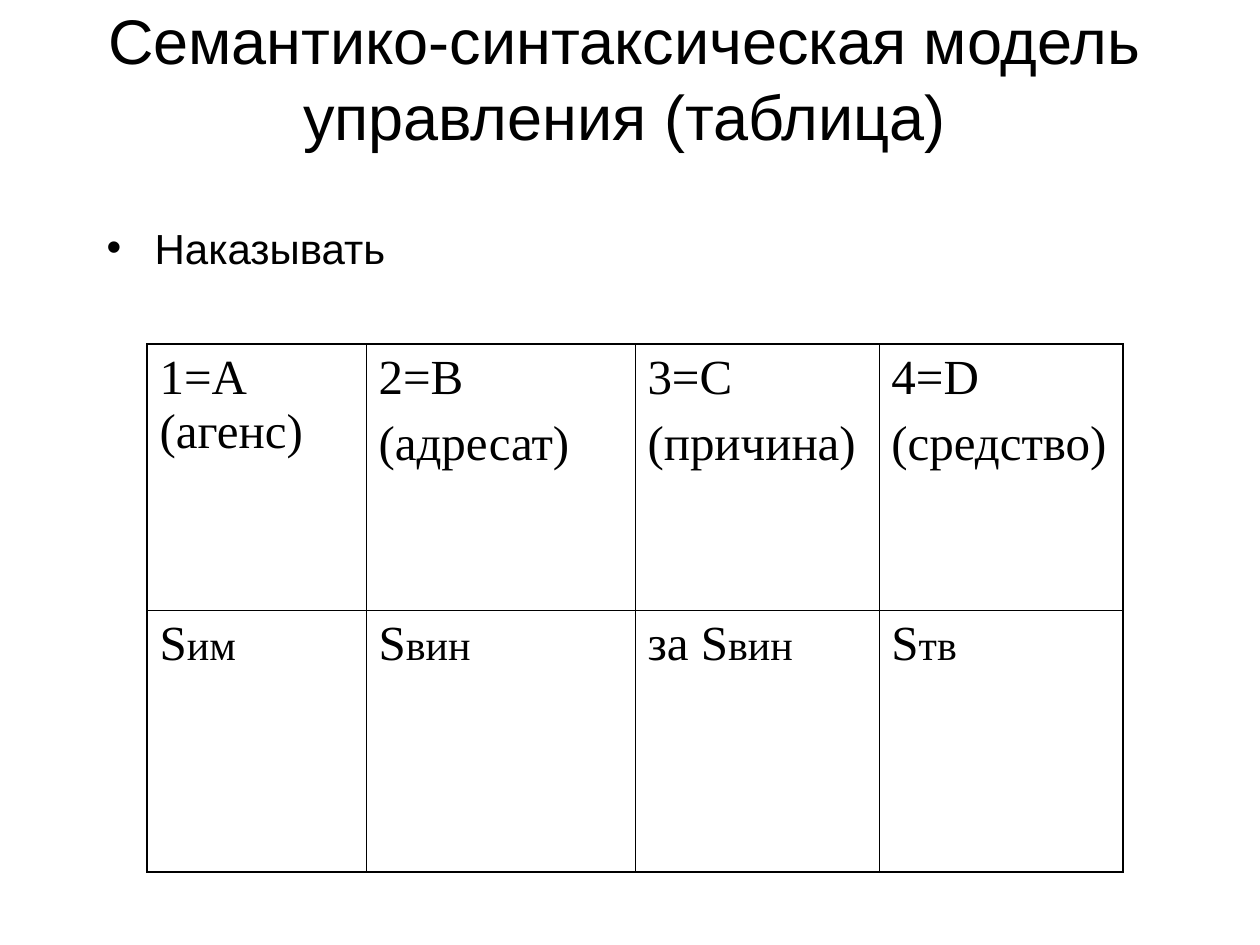
from lxml.etree import SubElement
from pptx import Presentation
from pptx.dml.color import RGBColor
from pptx.enum.text import MSO_ANCHOR, MSO_AUTO_SIZE, PP_ALIGN
from pptx.oxml.ns import qn
from pptx.util import Emu, Pt

# Content
TITLE = "Семантико-синтаксическая модель управления (таблица)\v"
VERB = "Наказывать"
ROLES = [["1=А (агенс)"], ["2=B", "(адресат)"], ["3=С", "(причина)"], ["4=D", "(средство)"]]
FORMS = [("S", "им"), ("S", "вин"), ("за S", "вин"), ("S", "тв")]

# Layout in px, 126 to the inch
COLUMN_WIDTHS = [219, 269, 244, 244]
ROW_HEIGHTS = [266, 262]
BLACK = "000000"
THIN, THICK = 0.45, 1.08


def px(length):
    return Emu(round(length * 914400 / 126))


def color(value):
    return RGBColor.from_string(value)


def style_font(font, name, size):
    font.name, font.size = name, Pt(size)
    font.color.rgb = color(BLACK)


def place(shape, left, top, width, height):
    shape.left, shape.top = px(left), px(top)
    shape.width, shape.height = px(width), px(height)
    shape.text_frame.auto_size = MSO_AUTO_SIZE.NONE


def add_border(cell, side, width):
    properties = cell._tc.get_or_add_tcPr()
    line = SubElement(properties, qn(f"a:ln{side}"), w=str(Pt(width)))
    fill = SubElement(line, qn("a:solidFill"))
    SubElement(fill, qn("a:srgbClr"), val=BLACK)


def fill_roles(cell, lines):
    cell.text_frame.text = "\n".join(lines)
    for index, paragraph in enumerate(cell.text_frame.paragraphs):
        paragraph.space_before = Pt(7 if index else 0)
        style_font(paragraph.runs[0].font, "Times New Roman", 28)


def fill_form(cell, parts):
    paragraph = cell.text_frame.paragraphs[0]
    for text, size in zip(parts, (28, 24)):
        run = paragraph.add_run()
        run.text = text
        style_font(run.font, "Times New Roman", size)


presentation = Presentation()
presentation.slide_width, presentation.slide_height = px(1260), px(945)
slide = presentation.slides.add_slide(presentation.slide_layouts[1])

# Title
title = slide.shapes.title
place(title, 94, 31, 1061, 168)
title.text_frame.text = TITLE
title.text_frame.vertical_anchor = MSO_ANCHOR.MIDDLE
heading = title.text_frame.paragraphs[0]
heading.alignment = PP_ALIGN.CENTER
style_font(heading.font, "Arial", 36)
for run in heading.runs:
    style_font(run.font, "Arial", 36)

# Bulleted verb
body = slide.placeholders[1]
place(body, 94, 210, 1071, 630)
body.text_frame.text = VERB
body.text_frame.margin_top = px(12)
item = body.text_frame.paragraphs[0]
item_properties = item._p.get_or_add_pPr()
item_properties.set("marL", str(px(48)))
item_properties.set("indent", str(px(-48)))
SubElement(item_properties, qn("a:buChar"), char="•")
item.space_before = Pt(0)
style_font(item.runs[0].font, "Arial", 24)

# Government model table
rows, columns = len(ROW_HEIGHTS), len(COLUMN_WIDTHS)
table = slide.shapes.add_table(
    rows, columns, px(147), px(344), px(sum(COLUMN_WIDTHS)), px(sum(ROW_HEIGHTS))
).table
table.first_row = table.horz_banding = False
for column, width in zip(table.columns, COLUMN_WIDTHS):
    column.width = px(width)
for row, height in zip(table.rows, ROW_HEIGHTS):
    row.height = px(height)

for index in range(columns):
    fill_roles(table.cell(0, index), ROLES[index])
    fill_form(table.cell(1, index), FORMS[index])

# Outer edges are thick, inner edges thin
for row in range(rows):
    for column in range(columns):
        cell = table.cell(row, column)
        outer = {"L": column == 0, "R": column == columns - 1, "T": row == 0, "B": row == rows - 1}
        for side, is_outer in outer.items():
            add_border(cell, side, THICK if is_outer else THIN)
        cell.fill.background()

presentation.save("out.pptx")
